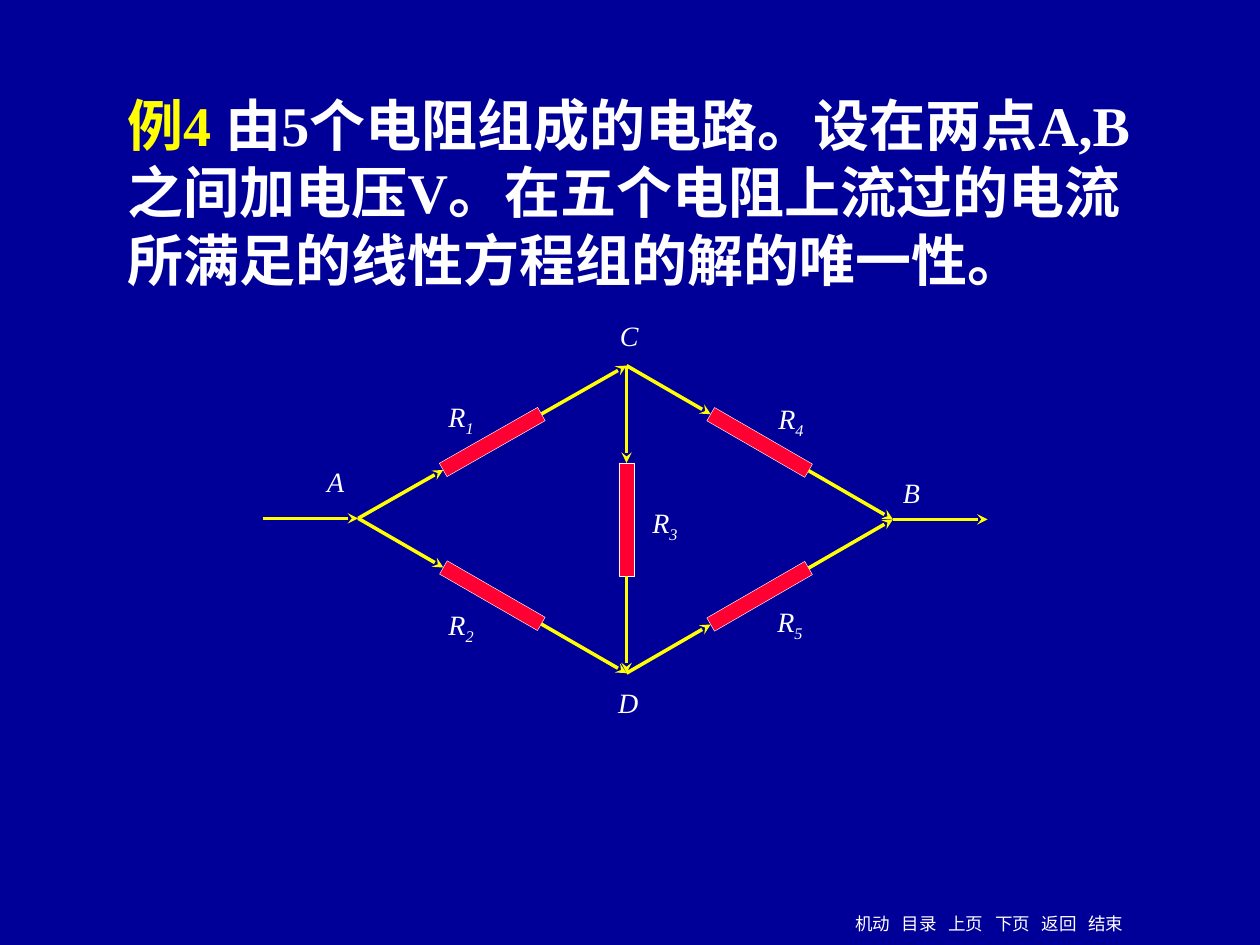
from dataclasses import dataclass
from math import atan2, cos, degrees, sin

from lxml.etree import SubElement
from pptx import Presentation
from pptx.dml.color import RGBColor
from pptx.enum.shapes import MSO_CONNECTOR as CONN, MSO_SHAPE as SHAPE
from pptx.enum.text import MSO_ANCHOR as ANCHOR, MSO_AUTO_SIZE as AUTO, PP_ALIGN as ALIGN
from pptx.oxml.ns import qn
from pptx.util import Cm, Pt

COLORS = {"back": "000099", "text": "FFFFFF", "accent": "FFFF00", "resistor": "FF0033"}
LATIN, CJK = "Times New Roman", "Noto Sans CJK SC"
LENGTH, THICKNESS = 2.28, 0.31  # resistor size in cm
INLET, OUTLET = 1, 3  # left and right sides of a resistor


@dataclass
class Node:
    x: float
    y: float
    label_x: float
    label_y: float


@dataclass
class Branch:
    number: str
    start: str
    end: str
    label_x: float
    label_y: float


NODES = {
    "A": Node(7.22, 10.45, 6.27, 9.25),
    "B": Node(18.0, 10.47, 17.88, 9.47),
    "C": Node(12.63, 7.37, 12.19, 6.3),
    "D": Node(12.63, 13.57, 12.17, 13.69),
}
BRANCHES = [
    Branch("1", "A", "C", 8.56, 7.92),
    Branch("2", "A", "D", 8.56, 12.12),
    Branch("3", "C", "D", 12.67, 10.06),
    Branch("4", "C", "B", 15.21, 7.98),
    Branch("5", "D", "B", 15.19, 12.07),
]
MENU = ["机动", "目录", "上页", "下页", "返回", "结束"]


def rgb(name: str) -> RGBColor:
    return RGBColor.from_string(COLORS[name])


def add_run(p, text: str, size: float, color="text", font=LATIN, bold=False, italic=False):
    r = p.add_run()
    r.text = text
    f = r.font
    f.name, f.size, f.bold, f.italic = font, Pt(size), bold, italic
    f.color.rgb = rgb(color)
    SubElement(r._r.get_or_add_rPr(), qn("a:ea")).set("typeface", CJK)
    return r


def add_arrow(s, x1: float, y1: float, x2: float, y2: float, source=None, target=None):
    """Arrow between two points, joined to a resistor at either end."""
    c = s.shapes.add_connector(CONN.STRAIGHT, Cm(x1), Cm(y1), Cm(x2), Cm(y2))
    if source is not None:
        c.begin_connect(source, OUTLET)
    if target is not None:
        c.end_connect(target, INLET)
    # Connecting ignores rotation, so the ends are placed again
    c.begin_x, c.begin_y, c.end_x, c.end_y = Cm(x1), Cm(y1), Cm(x2), Cm(y2)
    c.line.color.rgb = rgb("accent")
    c.line.width = Pt(2)
    SubElement(c.line._get_or_add_ln(), qn("a:tailEnd")).set("type", "stealth")
    SubElement(c._element.spPr, qn("a:effectLst"))


def add_label(s, x: float, y: float, letter: str, sub: str = ""):
    sp = s.shapes.add_textbox(Cm(x), Cm(y), Cm(1.47 if sub else 0.99), Cm(0.94))
    tf = sp.text_frame
    tf.word_wrap = True
    p = tf.paragraphs[0]
    p.alignment = ALIGN.CENTER
    add_run(p, letter, 16, italic=True)
    if sub:
        r = add_run(p, sub, 16, italic=True)
        r._r.get_or_add_rPr().set("baseline", "-25000")


def add_branch(s, b: Branch):
    """Resistor midway between two nodes, with a lead on each side."""
    a, z = NODES[b.start], NODES[b.end]
    angle = atan2(z.y - a.y, z.x - a.x)
    cx, cy = (a.x + z.x) / 2, (a.y + z.y) / 2
    dx, dy = LENGTH / 2 * cos(angle), LENGTH / 2 * sin(angle)
    sp = s.shapes.add_shape(SHAPE.RECTANGLE, Cm(cx - LENGTH / 2), Cm(cy - THICKNESS / 2),
                            Cm(LENGTH), Cm(THICKNESS))
    sp.rotation = degrees(angle) % 360
    sp.shadow.inherit = False
    sp.fill.solid()
    sp.fill.fore_color.rgb = rgb("resistor")
    sp.line.color.rgb = rgb("text")
    sp.line.width = Pt(0.25)
    add_arrow(s, a.x, a.y, cx - dx, cy - dy, target=sp)
    add_arrow(s, cx + dx, cy + dy, z.x, z.y, source=sp)
    add_label(s, b.label_x, b.label_y, "R", b.number)


def add_title(s):
    sp = s.shapes.title
    sp.left, sp.top, sp.width, sp.height = Cm(2.31), Cm(1.7), Cm(21.44), Cm(4.32)
    tf = sp.text_frame
    tf.word_wrap, tf.auto_size, tf.vertical_anchor = True, AUTO.NONE, ANCHOR.TOP
    p = tf.paragraphs[0]
    p.alignment, p.line_spacing = ALIGN.LEFT, Pt(38.4)
    add_run(p, "例4 ", 32, "accent", bold=True)
    add_run(p, "由5个电阻组成的电路。设在两点A,B之间加电压V。"
               "在五个电阻上流过的电流所满足的线性方程组的解的唯一性。", 32, bold=True)


def add_menu(s):
    sp = s.shapes.add_textbox(Cm(16.99), Cm(18.29), Cm(7.57), Cm(0.69))
    p = sp.text_frame.paragraphs[0]
    tabs = SubElement(p._p.get_or_add_pPr(), qn("a:tabLst"))
    for i in range(1, len(MENU)):
        tab = SubElement(tabs, qn("a:tab"))
        tab.set("pos", str(Cm(0.94 * i)))
        tab.set("algn", "l")
    add_run(p, "\t".join(MENU), 10, font=CJK)


def main():
    prs = Presentation()
    prs.slide_width, prs.slide_height = Cm(25.4), Cm(19.05)
    s = prs.slides.add_slide(prs.slide_layouts[5])
    s.background.fill.solid()
    s.background.fill.fore_color.rgb = rgb("back")

    add_menu(s)
    add_title(s)

    # Circuit: outer wires, branches, node names
    a, b = NODES["A"], NODES["B"]
    add_arrow(s, a.x - 1.91, a.y, a.x, a.y)
    add_arrow(s, b.x, b.y, b.x + 1.91, b.y)
    for branch in BRANCHES:
        add_branch(s, branch)
    for name, node in NODES.items():
        add_label(s, node.label_x, node.label_y, name)

    prs.save("out.pptx")


if __name__ == "__main__":
    main()
